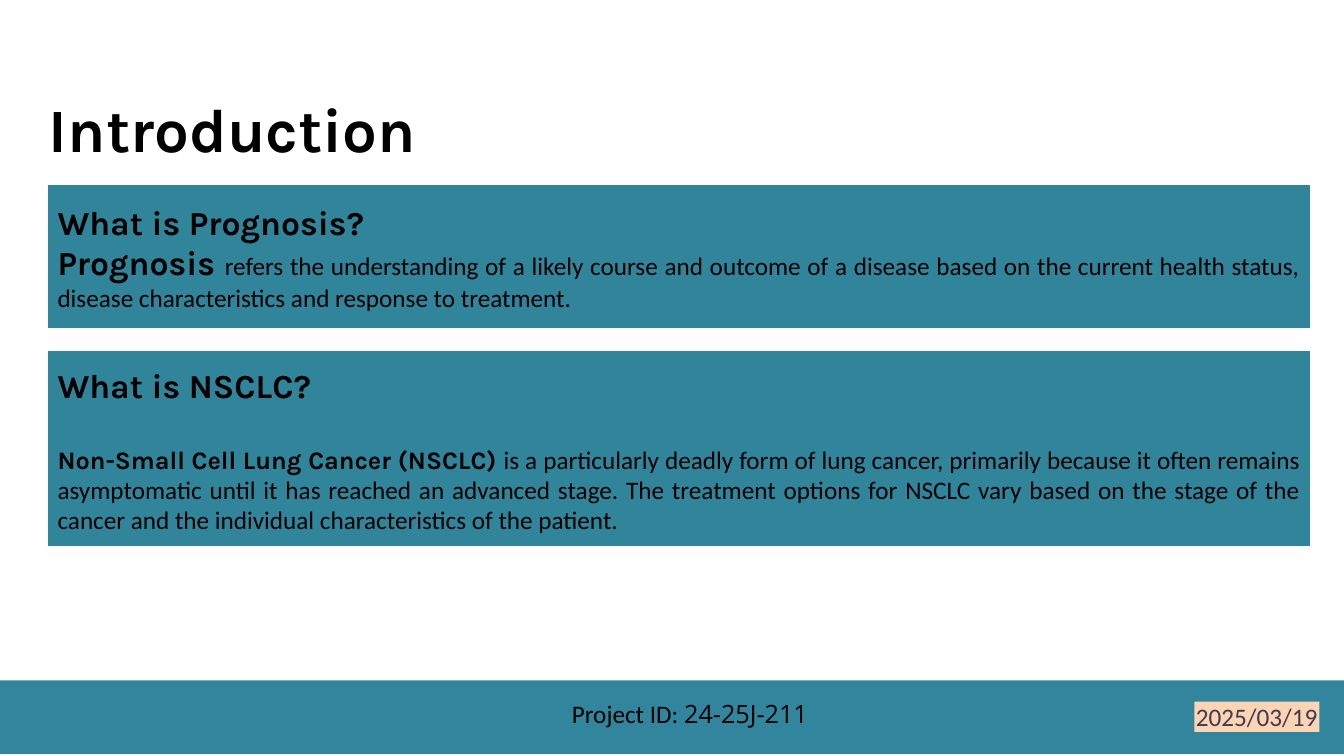
from dataclasses import dataclass

from pptx import Presentation
from pptx import util as u
from pptx.dml.color import RGBColor
from pptx.enum import shapes, text

Pt = u.Pt


@dataclass(frozen=True)
class Theme:
    ink: str = "000000"
    panel: str = "31859B"
    footer: str = "31859C"
    date_fill: str = "FBD4B4"
    date_ink: str = "403C4E"
    heading_font: str = "Karla"
    body_font: str = "Calibri"
    code_font: str = "Open Sans"
    title_size: int = 44
    heading_size: int = 24
    body_size: int = 18


THEME = Theme()


def add_run(paragraph, words, size, font, color=THEME.ink, bold=False):
    run = paragraph.add_run()
    run.text = words
    run.font.size = Pt(size)
    run.font.name = font
    run.font.bold = bold
    run.font.color.rgb = RGBColor.from_string(color)


def set_margins(frame, left, top, right, bottom):
    frame.word_wrap = True
    frame.vertical_anchor = text.MSO_ANCHOR.TOP
    frame.margin_left, frame.margin_top = Pt(left), Pt(top)
    frame.margin_right, frame.margin_bottom = Pt(right), Pt(bottom)


def add_block(slide, box, fill, kind=shapes.MSO_SHAPE.RECTANGLE):
    """Add a plain filled shape in box (left, top, width, height)."""
    shape = slide.shapes.add_shape(kind, *map(Pt, box))
    shape.shadow.inherit = False
    shape.fill.solid()
    shape.fill.fore_color.rgb = RGBColor.from_string(fill)
    shape.line.fill.background()
    return shape


def add_title(slide, box, words):
    frame = slide.shapes.add_textbox(*map(Pt, box)).text_frame
    set_margins(frame, 1, 1, 0, 0)
    add_run(frame.paragraphs[0], words, THEME.title_size,
            THEME.heading_font, bold=True)


def add_panel(slide, box, heading, term, term_size, body, padding, gap):
    """Add a question panel; padding is above the heading, gap below it."""
    panel = add_block(slide, box, THEME.panel,
                      shapes.MSO_SHAPE.FLOWCHART_PROCESS)
    frame = panel.text_frame
    set_margins(frame, 7.2, padding, 7.2, 3.6)
    question = frame.paragraphs[0]
    answer = frame.add_paragraph()
    answer.space_before = Pt(gap)
    for paragraph in (question, answer):
        paragraph.alignment = text.PP_ALIGN.JUSTIFY
    add_run(question, heading, THEME.heading_size,
            THEME.heading_font, bold=True)
    add_run(answer, term + " ", term_size, THEME.heading_font, bold=True)
    add_run(answer, body, THEME.body_size, THEME.body_font)


def add_label(slide, box, fill):
    """Add a one-line footer label and return its paragraph."""
    frame = add_block(slide, box, fill).text_frame
    set_margins(frame, 1, 0, 0, 0)
    paragraph = frame.paragraphs[0]
    paragraph.alignment = text.PP_ALIGN.LEFT
    return paragraph


def add_footer(slide, box, project, date):
    left, top, width, height = box
    add_block(slide, box, THEME.footer)
    label = add_label(slide, (left + 407.5, top + 13, 180, 21.6), THEME.footer)
    add_run(label, "Project ID: ", THEME.body_size, THEME.body_font)
    add_run(label, project, THEME.body_size, THEME.code_font)
    label = add_label(slide, (left + width - 106.8, top + 15.2, 89.3, 21.6),
                      THEME.date_fill)
    add_run(label, date, THEME.body_size, THEME.body_font, THEME.date_ink)


def main():
    presentation = Presentation()
    presentation.slide_width, presentation.slide_height = Pt(960), Pt(540)
    slide = presentation.slides.add_slide(presentation.slide_layouts[6])
    left, width = 34, 902

    add_title(slide, (left, 64, 290, 54), "Introduction")
    add_panel(
        slide, (left, 132, width, 102), "What is Prognosis?",
        "Prognosis", THEME.heading_size,
        "refers the understanding of a likely course and outcome of a disease "
        "based on the current health status, disease characteristics and "
        "response to treatment.", padding=12, gap=0)
    add_panel(
        slide, (left, 250.5, width, 139.5), "What is NSCLC?",
        "Non-Small Cell Lung Cancer (NSCLC)", THEME.body_size,
        "is a particularly deadly form of lung cancer, primarily because it "
        "often remains asymptomatic until it has reached an advanced stage. "
        "The treatment options for NSCLC vary based on the stage of the "
        "cancer and the individual characteristics of the patient.",
        padding=10, gap=28)
    add_footer(slide, (0, 486, 960, 52.5), "24-25J-211", "2025/03/19")
    presentation.save("out.pptx")


if __name__ == "__main__":
    main()
